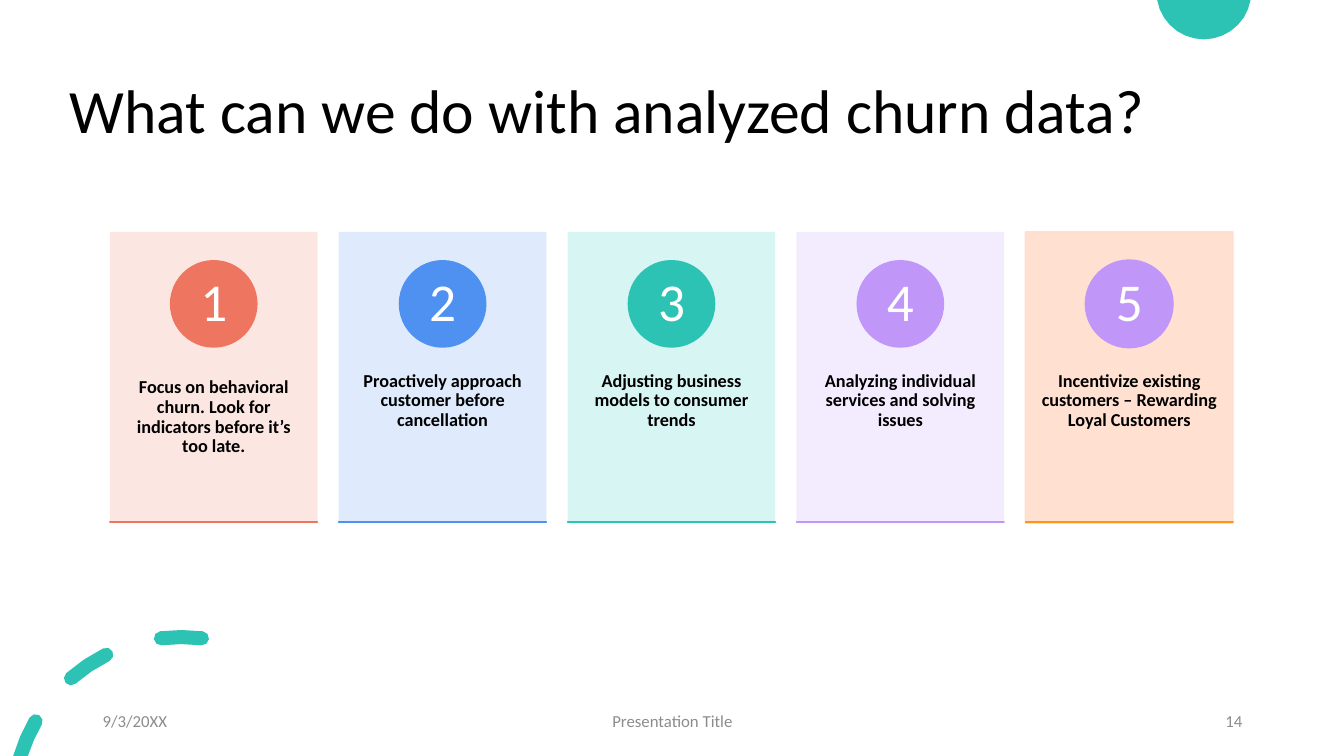
from math import asin, cos, degrees, radians, sin

from pptx import Presentation
from pptx.dml.color import RGBColor
from pptx.enum.shapes import MSO_SHAPE
from pptx.enum.text import MSO_ANCHOR, PP_ALIGN
from pptx.oxml.ns import qn
from pptx.util import Inches, Pt
from lxml.etree import SubElement

TITLE = "What can we do with analyzed churn data?"
STEPS = [
    ("Focus on behavioral churn. Look for indicators before it’s too late.", "blush", "coral", "coral"),
    ("Proactively approach customer before cancellation", "sky", "blue", "blue"),
    ("Adjusting business models to consumer trends", "mint", "teal", "teal"),
    ("Analyzing individual services and solving issues", "lilac", "violet", "violet"),
    ("Incentivize existing customers – Rewarding Loyal Customers", "peach", "violet", "orange"),
]
OUTLINED_STEP = 5
FOOTER = [
    ("9/3/20XX", 0.92, 3, PP_ALIGN.LEFT),
    ("Presentation Title", 4.42, 4.5, PP_ALIGN.CENTER),
    ("14", 9.42, 3, PP_ALIGN.RIGHT),
]
COLORS = {
    "blush": "FCE4DF", "sky": "DCE9FC", "mint": "D3F5F2", "lilac": "F2EAFE", "peach": "FFDDCC",
    "coral": "EE7661", "blue": "4E91F0", "teal": "2CC3B4", "violet": "C097F8", "orange": "FF9514",
    "black": "000000", "white": "FFFFFF", "gray": "8C8C8C",
}
FONT = "Calibri"
SLIDE_W, SLIDE_H = 13.33, 7.5
CARD_LEFT, CARD_TOP, CARD_W, CARD_H, CARD_PITCH = 1.09, 2.3, 2.06, 2.89, 2.27
CAPTION_TOP, CAPTION_H = 3.39, 1.73
BADGE_TOP, BADGE_SIZE, NUMBER_SIZE = 2.58, 0.87, 0.61
RULE_TOP = 5.18
DISC_X, DISC_Y, DISC_R = 11.94, -0.08, 0.47
RING_X, RING_Y, RING_R, DASH_R = 1.8, 7.99, 1.67, 0.07
CUT_DASH_END = 210
WHOLE_DASHES = [(229, 243.5), (263, 277)]


def rgb(color):
    return RGBColor.from_string(COLORS[color])


def box(*lengths):
    return [Inches(length) for length in lengths]


def make_translucent(fill_parent):
    SubElement(fill_parent.find(qn("a:solidFill"))[0], qn("a:alpha"), val="90000")


def write(frame, text, size, color, align, bold=False, spacing=None, anchor=MSO_ANCHOR.MIDDLE):
    frame.word_wrap = True
    frame.vertical_anchor = anchor
    paragraph = frame.paragraphs[0]
    paragraph.text = text
    paragraph.alignment = align
    paragraph.line_spacing = spacing
    paragraph.font.name = FONT
    paragraph.font.size = Pt(size)
    paragraph.font.bold = bold
    paragraph.font.color.rgb = rgb(color)


def add_label(shapes, place, side, end):
    frame = shapes.add_textbox(*box(*place)).text_frame
    frame.margin_left = frame.margin_right = Inches(side)
    frame.margin_top = frame.margin_bottom = Inches(end)
    return frame


def paint(solid, color, outlined=False):
    solid.shadow.inherit = False
    solid.fill.solid()
    solid.fill.fore_color.rgb = rgb(color)
    if outlined:
        solid.line.color.rgb = rgb(color)
        solid.line.width = Pt(1)
    else:
        solid.line.fill.background()


def add_solid(shapes, kind, place, color, outlined):
    solid = shapes.add_shape(kind, *box(*place))
    paint(solid, color, outlined)
    return solid


def arc(x, y, radius, start, end, pieces):
    angles = [radians(start + (end - start) * i / pieces) for i in range(pieces + 1)]
    return [(x + radius * cos(a), y + radius * sin(a)) for a in angles]


def ring_arc(radius, start, end):
    return arc(RING_X, RING_Y, radius, start, end, 2)


def cap(angle, turn):
    center = ring_arc(RING_R, angle, angle)[0]
    return arc(*center, DASH_R, angle + turn, angle + turn + 180, 4)[1:-1]


def whole_dash(start, end):
    return (ring_arc(RING_R + DASH_R, start, end) + cap(end, 0)
            + ring_arc(RING_R - DASH_R, end, start) + cap(start, 180))


def cut_dash(end):
    outer, inner = RING_R + DASH_R, RING_R - DASH_R
    outer_cut, inner_cut = [180 + degrees(asin((RING_Y - SLIDE_H) / r)) for r in (outer, inner)]
    return ring_arc(outer, outer_cut, end) + cap(end, 0) + ring_arc(inner, end, inner_cut)


def add_outline(shapes, contours):
    contours = [[box(*point) for point in contour] for contour in contours]
    builder = shapes.build_freeform(*contours[0][0])
    for index, contour in enumerate(contours):
        if index:
            builder.move_to(*contour[0])
        builder.add_line_segments(contour[1:], close=True)
    paint(builder.convert_to_shape(), "teal")


def add_step(shapes, number, caption, card_color, badge_color, rule_color):
    left = CARD_LEFT + (number - 1) * CARD_PITCH
    outlined = number == OUTLINED_STEP
    card = add_solid(shapes, MSO_SHAPE.RECTANGLE, (left, CARD_TOP, CARD_W, CARD_H), card_color, outlined)
    make_translucent(card._element.spPr)
    if outlined:
        make_translucent(card._element.spPr.find(qn("a:ln")))

    caption_frame = add_label(shapes, (left, CAPTION_TOP, CARD_W, CAPTION_H), 0.16, 0.36)
    write(caption_frame, caption, 13, "black", PP_ALIGN.CENTER, True, 0.9, MSO_ANCHOR.TOP)

    badge_left = left + (CARD_W - BADGE_SIZE) / 2
    add_solid(shapes, MSO_SHAPE.OVAL, (badge_left, BADGE_TOP, BADGE_SIZE, BADGE_SIZE), badge_color, outlined)
    inset = (BADGE_SIZE - NUMBER_SIZE) / 2
    number_place = (badge_left + inset, BADGE_TOP + inset, NUMBER_SIZE, NUMBER_SIZE)
    write(add_label(shapes, number_place, 0.07, 0.01), str(number), 38, "white", PP_ALIGN.CENTER, spacing=0.9)

    add_solid(shapes, MSO_SHAPE.RECTANGLE, (left, RULE_TOP, CARD_W, 0), rule_color, True)


def main():
    deck = Presentation()
    deck.slide_width, deck.slide_height = box(SLIDE_W, SLIDE_H)
    slide = deck.slides.add_slide(deck.slide_layouts[5])
    shapes = slide.shapes

    edge = degrees(asin(-DISC_Y / DISC_R))
    add_outline(shapes, [arc(DISC_X, DISC_Y, DISC_R, edge, 180 - edge, 14)])
    add_outline(shapes, [cut_dash(CUT_DASH_END)] + [whole_dash(*dash) for dash in WHOLE_DASHES])

    title = shapes.title
    title.left, title.top, title.width, title.height = box(0.59, 0.4, 11.5, 1.45)
    write(title.text_frame, TITLE, 44, "black", PP_ALIGN.LEFT, spacing=0.9)

    for number, step in enumerate(STEPS, 1):
        add_step(shapes, number, *step)

    for text, left, width, align in FOOTER:
        write(add_label(shapes, (left, 6.95, width, 0.4), 0.1, 0.05), text, 12, "gray", align)

    deck.save("out.pptx")


if __name__ == "__main__":
    main()
